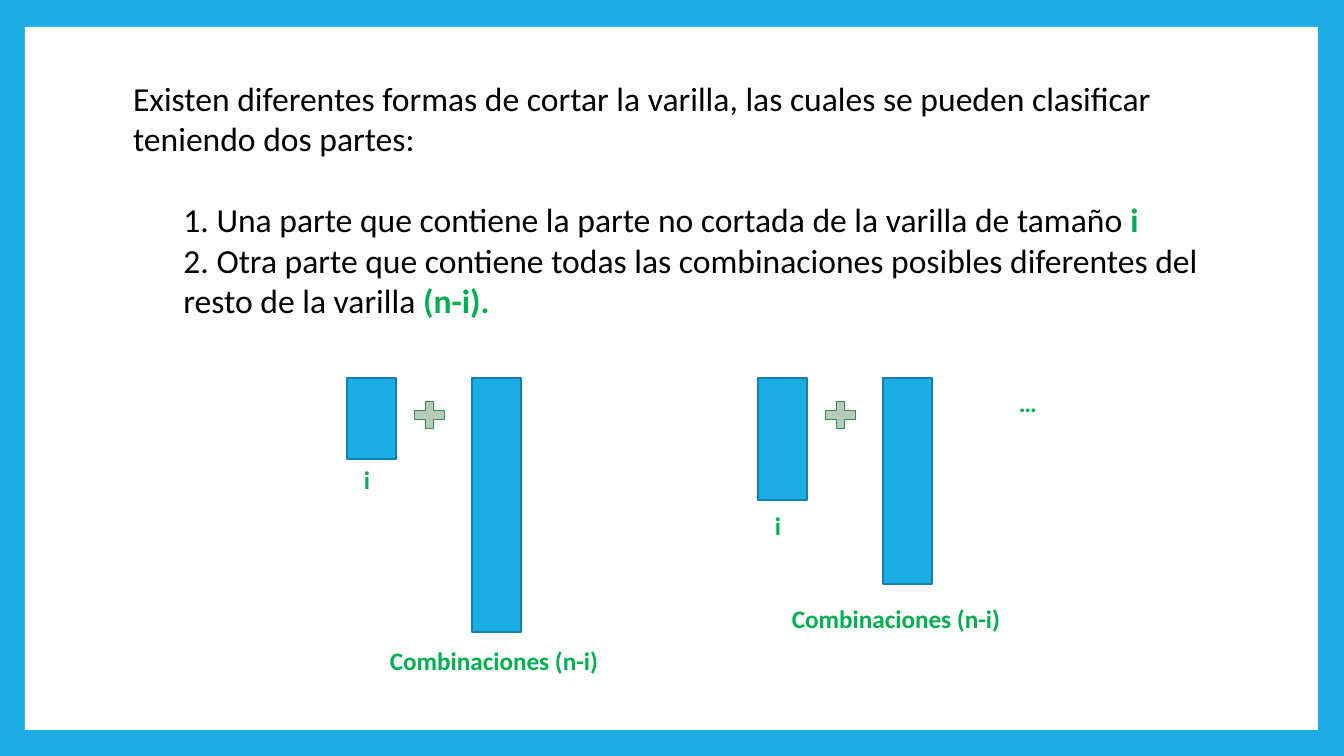
"""Build the rod-cutting slide with two example splits."""
from pptx import Presentation
from pptx.dml.color import RGBColor
from pptx.enum.shapes import MSO_SHAPE
from pptx.enum.text import MSO_ANCHOR, MSO_AUTO_SIZE, PP_ALIGN
from pptx.util import Inches, Pt
from lxml.etree import SubElement
from pptx.oxml.ns import qn

COLORS = {"blue": "1CADE4", "edge": "1580A9", "white": "FFFFFF", "black": "000000",
          "green": "00B050", "plus": "B5CCBA", "plus_edge": "3E8853"}
FONT = "Calibri"
SCALE = Inches(1) / 100.8

INTRO = ("Existen diferentes formas de cortar la varilla, las cuales se pueden "
         "clasificar teniendo dos partes:")
PARTS = [
    ("1. Una parte que contiene la parte no cortada de la varilla de tamaño ", "i"),
    ("2. Otra parte que contiene todas las combinaciones posibles diferentes "
     "del resto de la varilla ", "(n-i)."),
]
SPLITS = [
    {"left": 347, "piece": 81, "rest": 254, "piece_label": 459, "rest_label": (380, 640)},
    {"left": 758, "piece": 122, "rest": 206, "piece_label": 505, "rest_label": (782, 598)},
]
BAR_TOP, BAR_WIDTH, BAR_STEP = 378, 49, 125
LABEL_HEIGHT = 40


def px(*lengths):
    return [round(length * SCALE) for length in lengths]


def color(name):
    return RGBColor.from_string(COLORS[name])


def add_span(paragraph, text, size, tint, bold=False):
    span = paragraph.add_run()
    span.text = text
    span.font.color.rgb = color(tint)
    for name, value in {"name": FONT, "size": Pt(size), "bold": bold}.items():
        setattr(span.font, name, value)


def add_block(kind, bounds, fill, edge=None, weight=1.5):
    shape = page.shapes.add_shape(kind, *px(*bounds))
    shape.shadow.inherit = False
    shape.fill.solid()
    shape.fill.fore_color.rgb = color(fill)
    if edge:
        shape.line.color.rgb = color(edge)
        shape.line.width = Pt(weight)
    else:
        shape.line.fill.background()


def add_label(text, left, top, width):
    box = page.shapes.add_textbox(*px(left, top, width, LABEL_HEIGHT))
    box.text_frame.word_wrap = True
    add_span(box.text_frame.paragraphs[0], text, 18, "green", True)


def format_paragraph(paragraph, margin, before):
    values = {"alignment": PP_ALIGN.LEFT, "line_spacing": 1.0,
              "space_before": Pt(before), "space_after": Pt(0)}
    for name, value in values.items():
        setattr(paragraph, name, value)
    properties = paragraph._p.get_or_add_pPr()
    properties.set("marL", str(Inches(margin)))
    properties.set("indent", "0")
    SubElement(properties, qn("a:buNone"))


deck = Presentation()
deck.slide_width, deck.slide_height = px(1344, 756)
page = deck.slides.add_slide(deck.slide_layouts[1])
page.background.fill.solid()
page.background.fill.fore_color.rgb = color("blue")

title, body = page.placeholders
title.element.getparent().remove(title.element)
add_block(MSO_SHAPE.RECTANGLE, (25, 27, 1293, 703), "white")
page.shapes._spTree.append(body.element)

body.left, body.top, body.width, body.height = px(123, 73, 1099, 254)
frame = body.text_frame
for name, value in {"word_wrap": True, "auto_size": MSO_AUTO_SIZE.NONE,
                    "vertical_anchor": MSO_ANCHOR.TOP}.items():
    setattr(frame, name, value)
intro = frame.paragraphs[0]
format_paragraph(intro, 0, 0)
add_span(intro, INTRO, 24, "black")
for index, (text, term) in enumerate(PARTS):
    item = frame.add_paragraph()
    item.level = 1
    format_paragraph(item, 0.5, 0 if index else 29)
    add_span(item, text, 24, "black")
    add_span(item, term, 24, "green", True)

for split in SPLITS:
    left = split["left"]
    for column, part in enumerate(("piece", "rest")):
        bounds = (left + column * BAR_STEP, BAR_TOP, BAR_WIDTH, split[part])
        add_block(MSO_SHAPE.RECTANGLE, bounds, "blue", "edge")
    add_block(MSO_SHAPE.MATH_PLUS, (left + 62, BAR_TOP + 19, 41, 36),
              "plus", "plus_edge", 0.79)
    add_label("i", left + 7, split["piece_label"], 35)
    add_label("Combinaciones (n-i)", *split["rest_label"], 264)
add_label("…", 1009, 382, 264)

deck.save("out.pptx")
